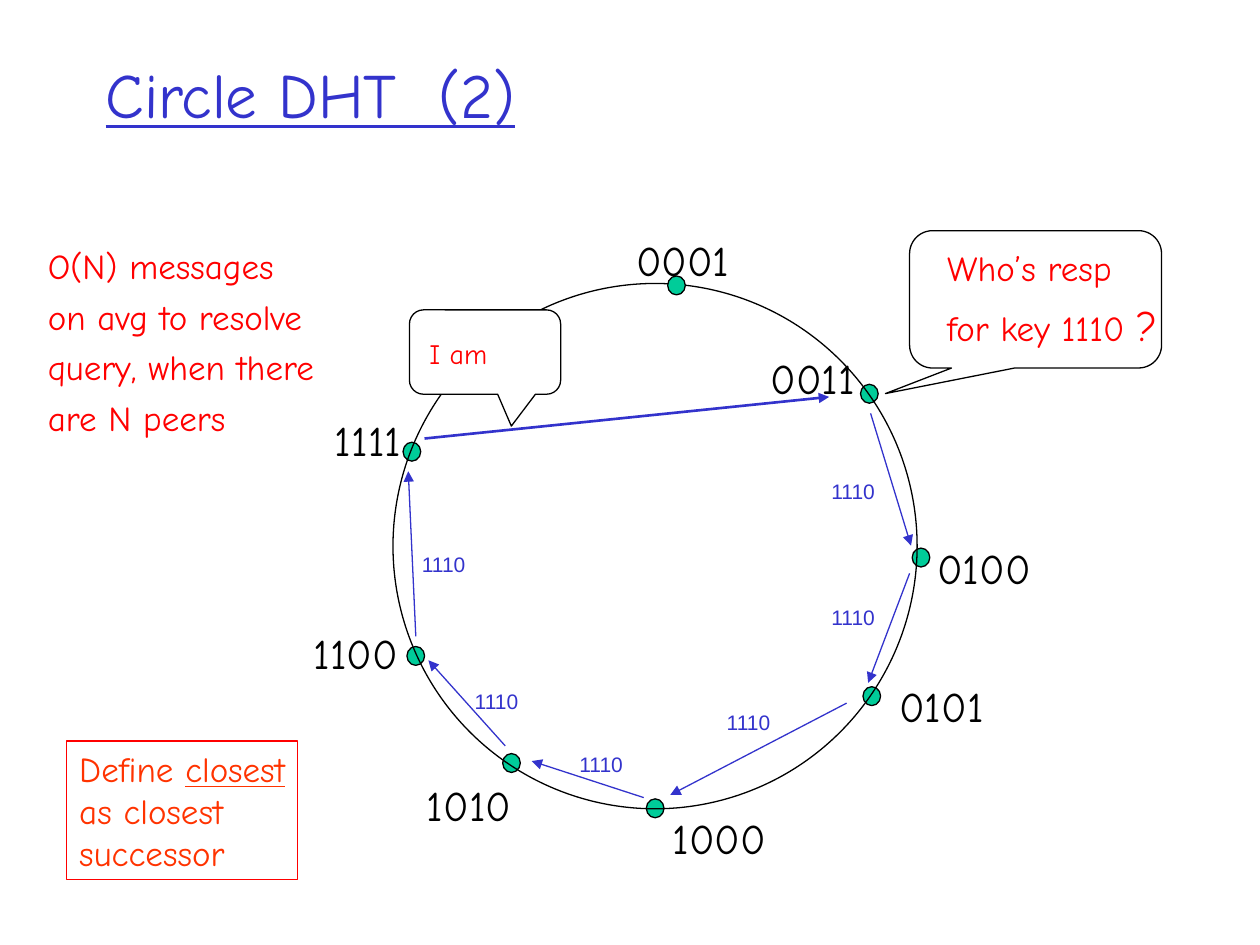
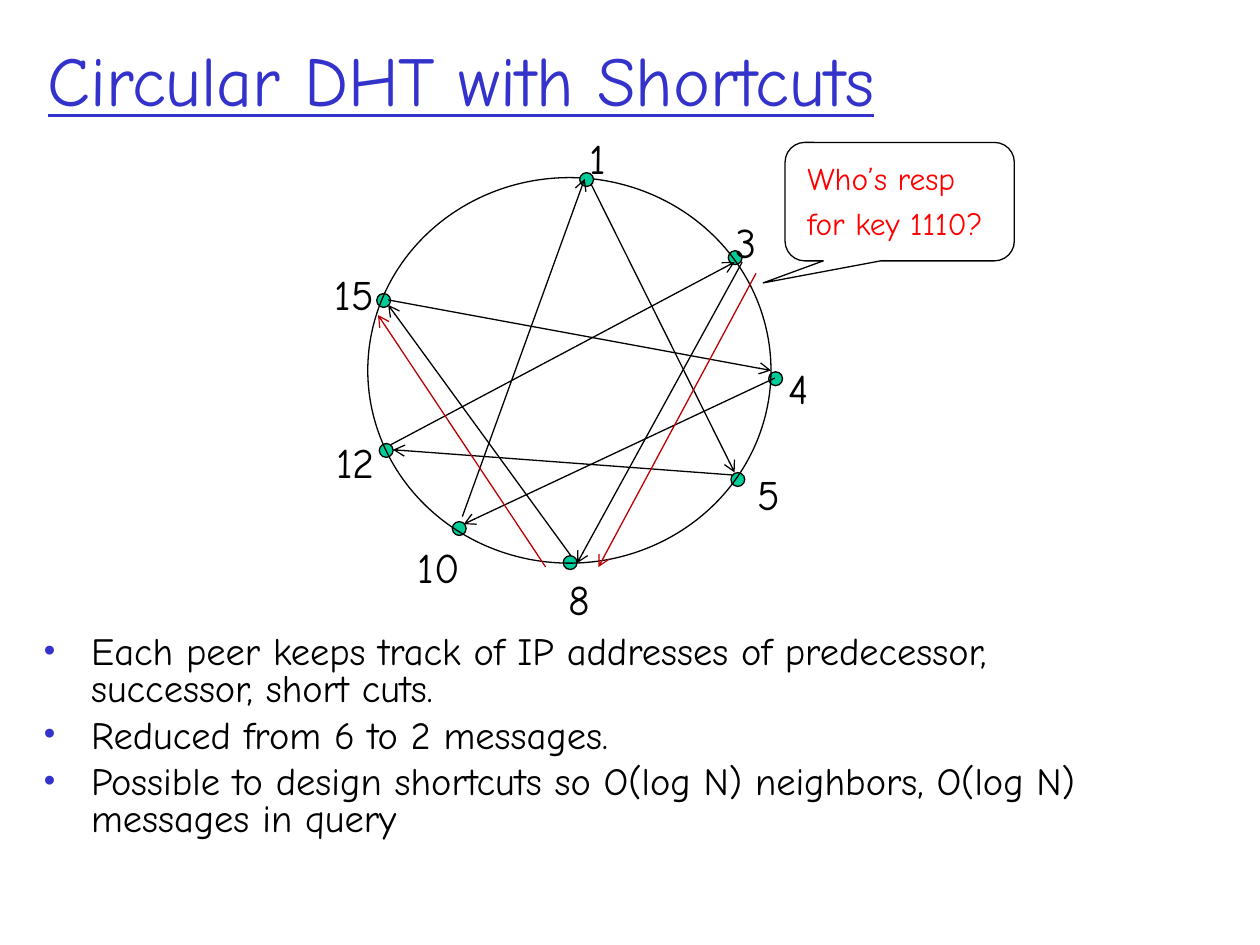
from pptx import Presentation
from pptx.dml.color import RGBColor as Rgb
from pptx.enum.shapes import MSO_CONNECTOR as Conn, MSO_SHAPE as Kind
from pptx.enum.text import MSO_ANCHOR as Anchor, MSO_AUTO_SIZE as Auto, PP_ALIGN as Align
from pptx.oxml.ns import qn
from pptx.util import Pt
from lxml.etree import SubElement as Sub, Element as Elem

HUES = {"blue": "3333CC", "green": "00CC99", "black": "000000", "white": "FFFFFF",
        "red": "FF0000", "orange": "FF3300", "dark": "C00000"}
FONT = "Comic Neue"
THIN = 0.74
WEDGE = (-0.596, 0.686, 0.167)

# name, dot centre, label left, top, width
PEERS = [
    ("1000", (374.4, 461.9), (377.3, 460.8, 68)),
    ("1111", (235.4, 258.1), (184.3, 233.3, 54)),
    ("1100", (237.6, 374.8), (172.1, 355, 64)),
    ("0011", (496.8, 225), (433.4, 198, 64)),
    ("0100", (526.3, 318.6), (528.5, 306.7, 68)),
    ("0101", (498.2, 397.8), (506.9, 385.2, 64)),
    ("1010", (292.3, 436), (236.9, 442.1, 64)),
    ("0001", (386.6, 163.1), (356.4, 130.3, 68)),
]
HOPS = [
    ((497.5, 236.2), (520.6, 311.8), (468, 270)),
    ((519.8, 327.6), (496.1, 390.2), (468, 342)),
    ((483.8, 401.8), (383, 454.3), (408.2, 401.8)),
    ((367.9, 455.8), (303.8, 434.9), (324, 426.2)),
    ((288.7, 426.2), (244.8, 377.3), (264.2, 390.2)),
    ((237.6, 363.6), (233.3, 269.3), (234, 311.8)),
]
COST = ["O(N) messages", "on avg to resolve", "query, when there", "are N peers"]

NODES = [
    ("8", (325.8, 321.5), (317.5, 324, 27)),
    ("15", (219.2, 171.7), (184.3, 149.8, 39)),
    ("12", (220.7, 257.4), (185, 246.2, 39)),
    ("3", (420.1, 147.2), (413.3, 120.2, 27)),
    ("4", (443.2, 216.4), (443.5, 203.8, 27)),
    ("5", (421.6, 274), (425.5, 264.2, 27)),
    ("10", (262.4, 302), (231.8, 306, 41)),
    ("1", (335.2, 102.6), (329.8, 72, 24)),
]
CUTS = [
    ((442.8, 216), (265, 299.5)),
    ((418.3, 271.4), (224.6, 257)),
    ((326.2, 317.5), (221.8, 174.2)),
    ((264.2, 295.2), (334.1, 102.2)),
    ((223.2, 254.2), (419.8, 149.8)),
    ((221.8, 171.4), (440.6, 211.7)),
    ((337.7, 105.1), (419.8, 270)),
    ((424.1, 149.8), (329.8, 321.8)),
]
ROUTE = [((432, 156.2), (342, 324)), ((311.8, 324), (216, 180))]
NOTES = [
    "Each peer keeps track of IP addresses of predecessor, successor, short cuts.",
    "Reduced from 6 to 2 messages.",
    "Possible to design shortcuts so O(log N) neighbors, O(log N) messages in query",
]


def tint(name):
    return Rgb.from_string(HUES[name])


def style(para, size, hue, face=FONT, gap=None):
    para.alignment = Align.LEFT
    para.space_before = Pt(size / 4 if gap is None else gap)
    font = para.font
    font.size, font.name = Pt(size), face
    font.color.rgb = tint(hue)


def write(slide, box, lines, size, hue, face=FONT, wrap=False, gap=None):
    frame = slide.shapes.add_textbox(*map(Pt, box)).text_frame
    frame.word_wrap = wrap
    if not wrap:
        frame.auto_size = Auto.SHAPE_TO_FIT_TEXT
    frame.text = "\n".join(lines)
    for para in frame.paragraphs:
        style(para, size, hue, face, gap)
    return frame


def title(slide, box, text, size, anchor):
    frame = write(slide, box, [text], size, "blue", wrap=True, gap=0)
    frame.vertical_anchor = anchor
    frame.paragraphs[0].font.underline = True


def shape(slide, kind, box, fill=None, edge="black"):
    item = slide.shapes.add_shape(kind, *map(Pt, box))
    item.shadow.inherit = False
    if fill:
        item.fill.solid()
        item.fill.fore_color.rgb = tint(fill)
    else:
        item.fill.background()
    item.line.color.rgb = tint(edge)
    item.line.width = Pt(THIN)
    return item


def bubble(slide, box, wedge, fill=None):
    item = shape(slide, Kind.ROUNDED_RECTANGULAR_CALLOUT, box, fill)
    for i, val in enumerate(wedge):
        item.adjustments[i] = val


def arrow(slide, start, end, hue, head, width=THIN):
    line = slide.shapes.add_connector(Conn.STRAIGHT, *map(Pt, start + end))
    line.line.color.rgb = tint(hue)
    line.line.width = Pt(width)
    Sub(line.line._get_or_add_ln(), qn("a:tailEnd"), type=head)
    Sub(line._element.spPr, qn("a:effectLst"))


def ring(slide, box, nodes, wide, high):
    def dot(node):
        x, y = node[1]
        shape(slide, Kind.OVAL, (x - wide / 2, y - high / 2, wide, high), "green")

    for node in nodes[:-1]:
        dot(node)
    shape(slide, Kind.OVAL, box)
    for name, _, spot in nodes:
        write(slide, spot + (36,), [name], 24, "black")
    dot(nodes[-1])


def bullet(para):
    props = para._p.get_or_add_pPr()
    props.set("marL", str(Pt(27)))
    props.set("indent", str(-Pt(27)))
    para.line_spacing = 0.8
    last = props.find(qn("a:defRPr"))
    color = Elem(qn("a:buClr"))
    Sub(color, qn("a:srgbClr"), val=HUES["blue"])
    last.addprevious(color)
    for tag, key, val in [("buSzPct", "val", "85000"), ("buFont", "typeface", "Arial"),
                          ("buChar", "char", "•")]:
        last.addprevious(Elem(qn("a:" + tag), {key: val}))


def define(slide):
    frame = shape(slide, Kind.RECTANGLE, (38.2, 423.4, 131.8, 79.2), edge="red").text_frame
    frame.word_wrap = False
    frame.vertical_anchor = Anchor.TOP
    para = frame.paragraphs[0]
    style(para, 20, "orange")
    para.add_run().text = "Define "
    key = para.add_run()
    key.text, key.font.underline = "closest", True
    for text in ("as closest", "successor"):
        para.add_line_break()
        para.add_run().text = text
    for run in para.runs:
        run.font.color.rgb = tint("orange")


def circle(slide):
    title(slide, (53.3, 28.3, 612, 90), "Circle DHT  (2)", 36, Anchor.TOP)
    ring(slide, (224.6, 162, 299.5, 300.2), PEERS, 10.1, 10.8)
    bubble(slide, (519.8, 131.8, 144, 78.5), WEDGE)
    ask = write(slide, (534.2, 137.5, 135.4, 66.2), ["Who’s resp", "for key 1110 "], 20, "red")
    mark = ask.paragraphs[1].add_run()
    mark.text, mark.font.size = "?", Pt(24)
    ask.paragraphs[1].space_before = Pt(6)
    for start, end, spot in HOPS:
        arrow(slide, start, end, "blue", "triangle")
        write(slide, spot + (41, 21.6), ["1110"], 12, "blue", "Arial")
    arrow(slide, (242.6, 250.6), (473.8, 226.8), "blue", "triangle", 1.5)
    bubble(slide, (234, 177.1, 86.4, 48.2), (0.174, 0.878, 0.167), "white")
    write(slide, (238.3, 188.6, 102.2, 26.6), ["I am"], 16, "red", wrap=True)
    write(slide, (20.2, 136.1, 167, 118.1), COST, 20, "red")
    define(slide)


def short(slide):
    title(slide, (20.2, 0, 648, 90), "Circular DHT with Shortcuts", 40, Anchor.MIDDLE)
    for para in write(slide, (18, 360, 648, 131.8), NOTES, 22, "black", wrap=True).paragraphs:
        bullet(para)
    ring(slide, (210.2, 101.5, 230.4, 220.3), NODES, 7.9, 7.9)
    for hue, pairs in (("black", CUTS), ("dark", ROUTE)):
        for start, end in pairs:
            arrow(slide, start, end, hue, "arrow")
    bubble(slide, (448.6, 81.4, 131, 67.7), WEDGE)
    write(slide, (454.3, 87.1, 129.6, 55.4), ["Who’s resp", "for key 1110?"], 18, "red", wrap=True)


deck = Presentation()
deck.slide_width, deck.slide_height = Pt(720), Pt(540)
for draw in (circle, short):
    draw(deck.slides.add_slide(deck.slide_layouts[6]))
deck.save("out.pptx")
